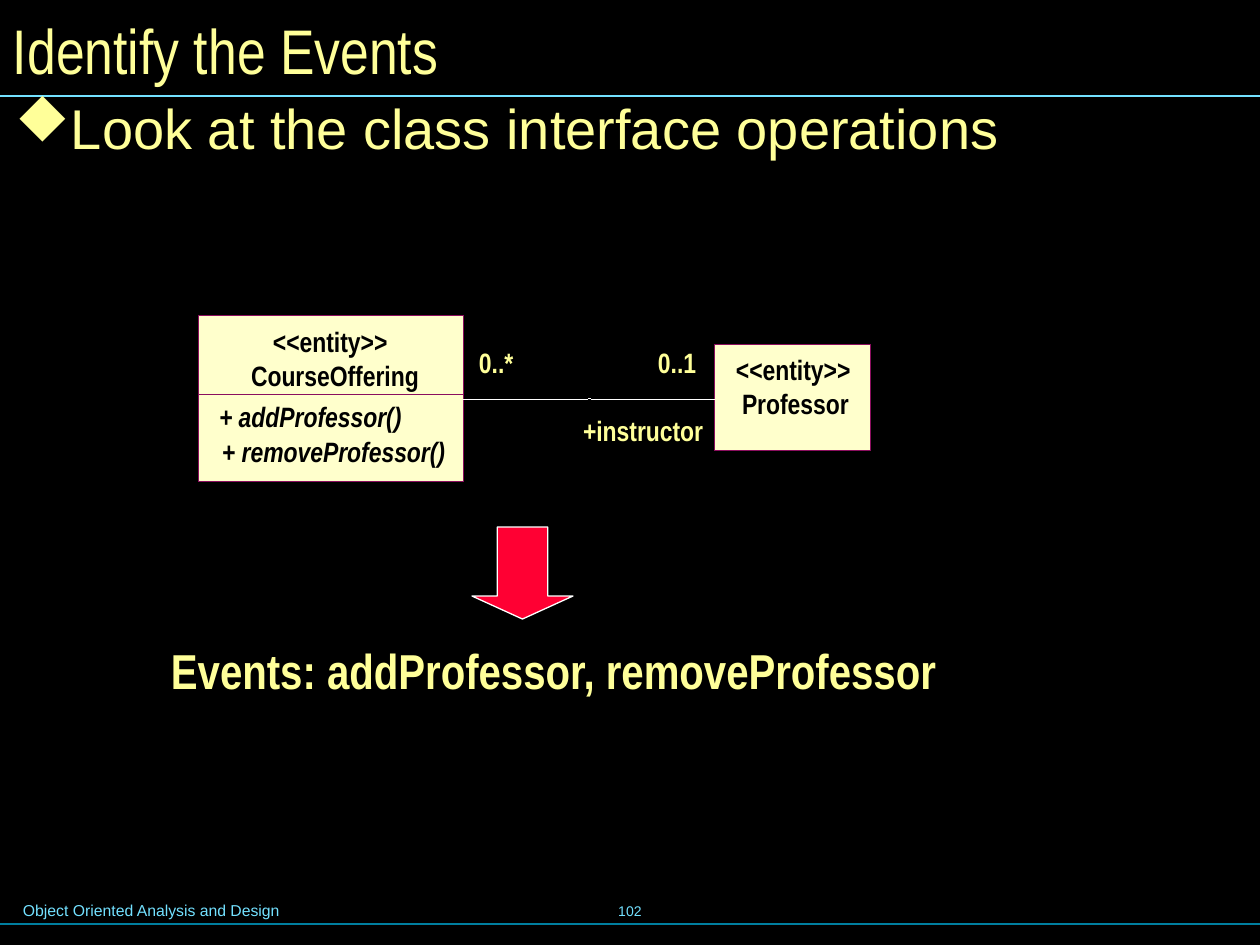
from lxml.etree import SubElement
from pptx import Presentation
from pptx.dml.color import RGBColor
from pptx.enum.shapes import MSO_CONNECTOR, MSO_SHAPE
from pptx.enum.text import MSO_ANCHOR, MSO_AUTO_SIZE, PP_ALIGN
from pptx.oxml.ns import qn
from pptx.util import Emu, Pt

BLACK = RGBColor(0x00, 0x00, 0x00)
WHITE = RGBColor(0xFF, 0xFF, 0xFF)
YELLOW = RGBColor(0xFF, 0xFF, 0x99)
CREAM = RGBColor(0xFF, 0xFF, 0xCC)
PLUM = RGBColor(0x8A, 0x0E, 0x5E)
RED = RGBColor(0xFF, 0x00, 0x33)
CYAN = RGBColor(0x73, 0xE1, 0xFF)
TEAL = RGBColor(0x00, 0x7E, 0x9F)
NARROW = "Arial Narrow"
LABEL = {"name": NARROW, "size": Pt(16), "bold": True}
HAIR = 0.01


def px(num):
    """Turn pixels into EMU."""
    return Emu(round(num * 914400 / 126))


def style(shape, words, font, color, pad=(0, 0), anchor=MSO_ANCHOR.TOP,
          align=PP_ALIGN.LEFT, wrap=True):
    """Fill a shape with one formatted paragraph and return it."""
    frame = shape.text_frame
    frame.text = words
    across, down = map(px, pad)
    form = {"margin_left": across, "margin_right": across, "margin_top": down,
            "margin_bottom": down, "vertical_anchor": anchor,
            "word_wrap": wrap, "auto_size": MSO_AUTO_SIZE.NONE}
    for key, val in form.items():
        setattr(frame, key, val)
    para = frame.paragraphs[0]
    para.alignment = align
    face = para.runs[0].font
    for key, val in font.items():
        setattr(face, key, val)
    face.color.rgb = color
    return para


def text(slide, box, words, font, color, **form):
    """Add a text box."""
    shape = slide.shapes.add_textbox(*map(px, box))
    return style(shape, words, font, color, **form)


def label(slide, left, top, width, words, color=YELLOW, slant=False):
    """Add a short diagram label."""
    text(slide, (left, top, width, 34), words, {**LABEL, "italic": slant},
         color, wrap=False)


def line(slide, ends, color, width=0.75):
    """Add a plain line between two points."""
    rule = slide.shapes.add_connector(MSO_CONNECTOR.STRAIGHT, *map(px, ends))
    rule.line.color.rgb = color
    rule.line.width = Pt(width)
    SubElement(rule.element.spPr, qn("a:effectLst"))


def block(slide, kind, box, fill, edge, width=HAIR):
    """Add a filled preset shape."""
    shape = slide.shapes.add_shape(kind, *map(px, box))
    shape.shadow.inherit = False
    shape.fill.solid()
    shape.fill.fore_color.rgb = fill
    shape.line.color.rgb = edge
    shape.line.width = Pt(width)
    return shape


def entity(slide, box, inset, name, shift, width, calls=()):
    """Draw a class box with its stereotype, name and operations."""
    left, top, wide, high = box
    block(slide, MSO_SHAPE.RECTANGLE, box, CREAM, PLUM)
    label(slide, left + inset, top + 9, 115, "<<entity>>", BLACK)
    label(slide, left + shift, top + 43, width, name, BLACK)
    if calls:
        block(slide, MSO_SHAPE.RECTANGLE, (left, top + 79, wide, high - 79),
              CREAM, PLUM)
    for row, (call, span) in enumerate(calls):
        label(slide, left + 20 + 3 * row, top + 84 + 35 * row, span, call,
              BLACK, True)


def frame(slide, wide, high):
    """Draw the footer and the two rules."""
    text(slide, (10, high - 50, 643, 32), "Object Oriented Analysis and Design",
         {"name": "Arial", "size": Pt(9)}, CYAN, pad=(13, 6))
    text(slide, (430, high - 66, 400, 63), "102",
         {"name": "Arial", "size": Pt(8)}, CYAN, pad=(13, 6),
         anchor=MSO_ANCHOR.MIDDLE, align=PP_ALIGN.CENTER)
    line(slide, (0, high - 21, wide, high - 21), TEAL)
    line(slide, (0, 96, wide, 96), CYAN)


def head(slide, box):
    """Place the title."""
    title = slide.shapes.title
    for key, val in zip(("left", "top", "width", "height"), box):
        setattr(title, key, px(val))
    style(title, "Identify the Events", {"name": NARROW, "size": Pt(36)},
          YELLOW, pad=(13, 6), anchor=MSO_ANCHOR.MIDDLE)


def point(slide, box):
    """Place the bulleted statement."""
    para = text(slide, box, "Look at the class interface operations",
                {"name": "Arial", "size": Pt(32)}, YELLOW, pad=(15, 8))
    para.line_spacing = 0.8
    props = para._p.get_or_add_pPr()
    props.set("marL", str(px(47)))
    props.set("indent", str(-px(47)))
    tint = SubElement(props, qn("a:buClr"))
    SubElement(tint, qn("a:srgbClr"), val=str(YELLOW))
    SubElement(props, qn("a:buFont"), typeface="Wingdings", charset="2")
    SubElement(props, qn("a:buChar"), char="u")


def model(slide, left, top):
    """Draw the two classes and the link between them."""
    entity(slide, (left, top, 265, 166), 74, "CourseOffering", 52, 168,
           (("+ addProfessor()", 183), ("+ removeProfessor()", 223)))
    entity(slide, (left + 516, top + 28, 156, 107), 21, "Professor", 27, 107)
    label(slide, left + 280, top + 30, 35, "0..*")
    label(slide, left + 459, top + 30, 38, "0..1")
    label(slide, left + 384, top + 97, 121, "+instructor")
    for side in (265, 516):
        line(slide, (left + 391, top + 83, left + side, top + 84), WHITE, HAIR)


def result(slide, left, top):
    """Draw the arrow and the events it leads to."""
    arrow = block(slide, MSO_SHAPE.DOWN_ARROW, (left + 316, top, 101, 92),
                  RED, WHITE, 0.75)
    arrow.adjustments[0] = 0.5
    arrow.adjustments[1] = 0.25
    text(slide, (left, top + 106, 935, 74),
         "Events: addProfessor, removeProfessor",
         {"name": NARROW, "size": Pt(28), "bold": True}, YELLOW, pad=(15, 8))


def main():
    """Build and save the slide."""
    deck = Presentation()
    deck.slide_width, deck.slide_height = px(1260), px(945)
    slide = deck.slides.add_slide(deck.slide_layouts[5])
    slide.background.fill.solid()
    slide.background.fill.fore_color.rgb = BLACK
    frame(slide, 1260, 945)
    head(slide, (0, 0, 1251, 98))
    point(slide, (0, 98, 1169, 108))
    model(slide, 199, 316)
    result(slide, 156, 527)
    deck.save("out.pptx")


if __name__ == "__main__":
    main()
